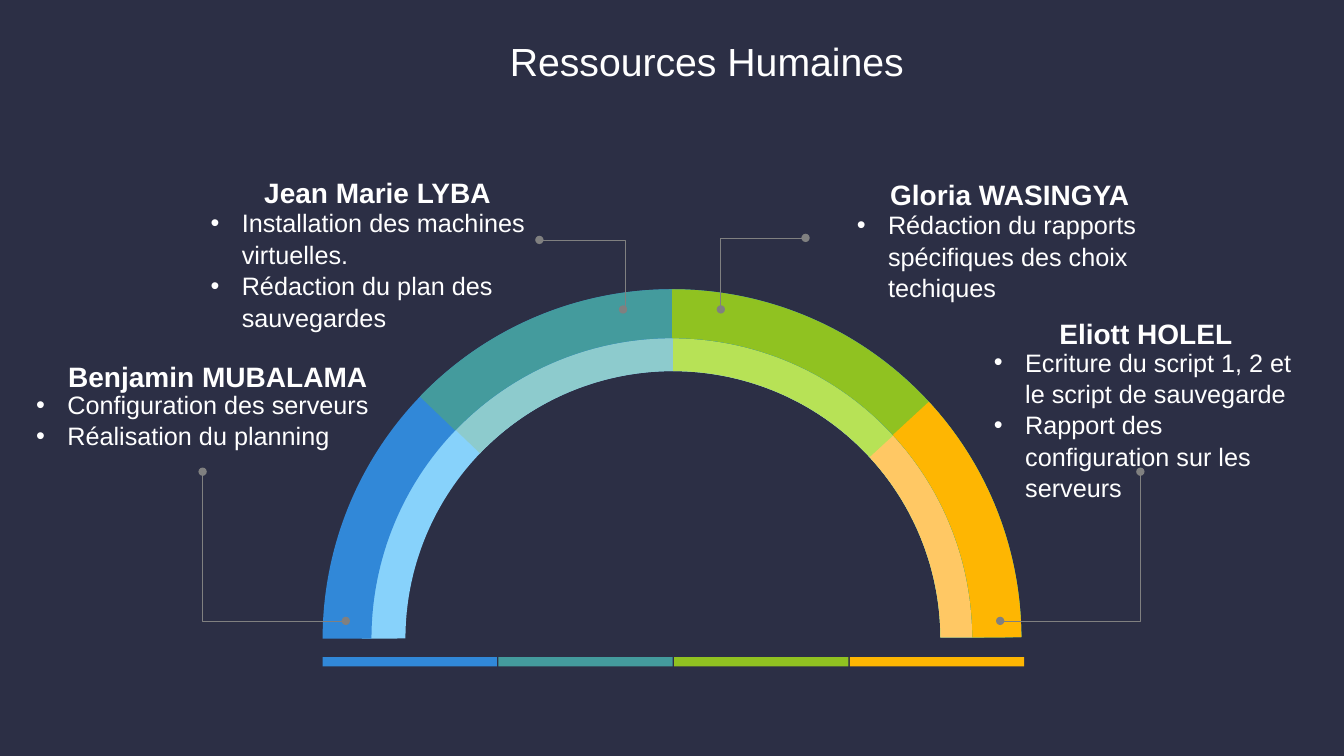
from lxml.etree import SubElement
from pptx import Presentation
from pptx.dml.color import RGBColor
from pptx.enum.shapes import MSO_CONNECTOR, MSO_SHAPE
from pptx.enum.text import PP_ALIGN
from pptx.oxml.ns import qn
from pptx.util import Inches, Pt

BACKGROUND, WHITE, GREY = "2C2F45", "FFFFFF", "808080"
OUTER_COLOURS = ["3188D8", "449B9D", "90C221", "FEB602"]
INNER_COLOURS = ["87D2FB", "8DCBCD", "B7E256", "FFC864"]
# Arc angles, in units of 100000/60000 degrees
ARC_STARTS = [108, 134.3, 162.02, 190.4]
ARC_END = 215.87
ARC_THICKNESS = 0.07

# Name, name box, tasks, task box
MEMBERS = [
    ("Benjamin MUBALAMA", (0.45, 3.5, 3.42, 0.44),
     ["Configuration des serveurs", "Réalisation du planning"],
     (0.26, 3.8, 3.68, 0.71)),
    ("Jean Marie LYBA", (2.28, 1.68, 2.93, 0.44),
     ["Installation des machines virtuelles.",
      "Rédaction du plan des sauvegardes"],
     (1.99, 2, 3.35, 1.92)),
    ("Gloria WASINGYA", (8.55, 1.7, 2.93, 0.44),
     ["Rédaction du rapports spécifiques des choix techiques"],
     (8.4, 2.02, 3.56, 1.01)),
    ("Eliott HOLEL", (9.9, 3.08, 2.93, 0.44),
     ["Ecriture du script 1, 2 et le script de sauvegarde",
      "Rapport des configuration sur les serveurs"],
     (9.76, 3.38, 3.21, 1.62)),
]

# Start, end, and position of the bend as a share of the width
CALLOUTS = [
    ((5.35, 2.38), (6.18, 3.07), 1.03),
    ((7.99, 2.36), (7.15, 3.07), 1),
    ((3.43, 6.16), (2.01, 4.68), 1),
    ((9.92, 6.16), (11.31, 4.68), 1),
]


def colour(hex_string):
    return RGBColor.from_string(hex_string)


def add_filled_shape(slide, kind, box, fill):
    shape = slide.shapes.add_shape(kind, *map(Inches, box))
    shape.shadow.inherit = False
    shape.fill.solid()
    shape.fill.fore_color.rgb = colour(fill)
    shape.line.fill.background()
    return shape


def add_arc_ring(slide, left, top, size, fills):
    """Each arc runs to the right end; the next one covers its remainder."""
    for start, fill in zip(ARC_STARTS, fills):
        arc = add_filled_shape(slide, MSO_SHAPE.BLOCK_ARC,
                               (left, top, size, size), fill)
        for index, value in enumerate((start, ARC_END, ARC_THICKNESS)):
            arc.adjustments[index] = value


def add_bullet(paragraph):
    properties = paragraph._p.get_or_add_pPr()
    properties.set("marL", str(Inches(0.31)))
    properties.set("indent", str(-Inches(0.31)))
    SubElement(properties, qn("a:buFont")).set("typeface", "Arial")
    SubElement(properties, qn("a:buChar")).set("char", "•")


def add_text(slide, box, lines, size, bold=False, bullets=False, spacing=1.04):
    text_frame = slide.shapes.add_textbox(*map(Inches, box)).text_frame
    text_frame.word_wrap = True
    text_frame.text = "\n".join(lines)
    for paragraph in text_frame.paragraphs:
        if bullets:
            add_bullet(paragraph)
        else:
            paragraph.alignment = PP_ALIGN.CENTER
        paragraph.line_spacing = spacing
        for run in paragraph.runs:
            run.font.name = "Arial"
            run.font.size = Pt(size)
            run.font.bold = bold
            run.font.color.rgb = colour(WHITE)


def add_callout(slide, start, end, bend):
    connector = slide.shapes.add_connector(
        MSO_CONNECTOR.ELBOW, *map(Inches, start + end))
    connector.line.color.rgb = colour(GREY)
    connector.line.width = Pt(0.5)
    properties = connector._element.spPr
    # Bend position
    geometry = properties.find(qn("a:prstGeom"))
    guides = geometry.find(qn("a:avLst"))
    if guides is None:
        guides = SubElement(geometry, qn("a:avLst"))
    guide = SubElement(guides, qn("a:gd"))
    guide.set("name", "adj1")
    guide.set("fmla", f"val {round(bend * 100000)}")
    # Dots at both ends, no shadow
    line = properties.find(qn("a:ln"))
    for tag in ("a:headEnd", "a:tailEnd"):
        SubElement(line, qn(tag)).set("type", "oval")
    SubElement(properties, qn("a:effectLst"))


def main():
    presentation = Presentation()
    presentation.slide_width = Inches(13.33)
    presentation.slide_height = Inches(7.5)
    slide = presentation.slides.add_slide(presentation.slide_layouts[6])
    slide.background.fill.solid()
    slide.background.fill.fore_color.rgb = colour(BACKGROUND)

    # Half rings
    add_arc_ring(slide, 3.59, 3.25, 6.17, INNER_COLOURS)
    add_arc_ring(slide, 3.2, 2.87, 6.93, OUTER_COLOURS)

    # Title
    add_text(slide, (0.68, 0.37, 12.66, 0.79), ["Ressources Humaines"], 28,
             spacing=0.9)

    # Colour bars under the rings
    for index, fill in enumerate(OUTER_COLOURS):
        add_filled_shape(slide, MSO_SHAPE.RECTANGLE,
                         (3.2 + 1.743 * index, 6.52, 1.73, 0.09), fill)

    # Callout lines
    for start, end, bend in CALLOUTS:
        add_callout(slide, start, end, bend)

    # Team members and their tasks
    for name, name_box, tasks, task_box in MEMBERS:
        add_text(slide, name_box, [name], 20, bold=True)
        add_text(slide, task_box, tasks, 18, bullets=True)

    presentation.save("out.pptx")


if __name__ == "__main__":
    main()
